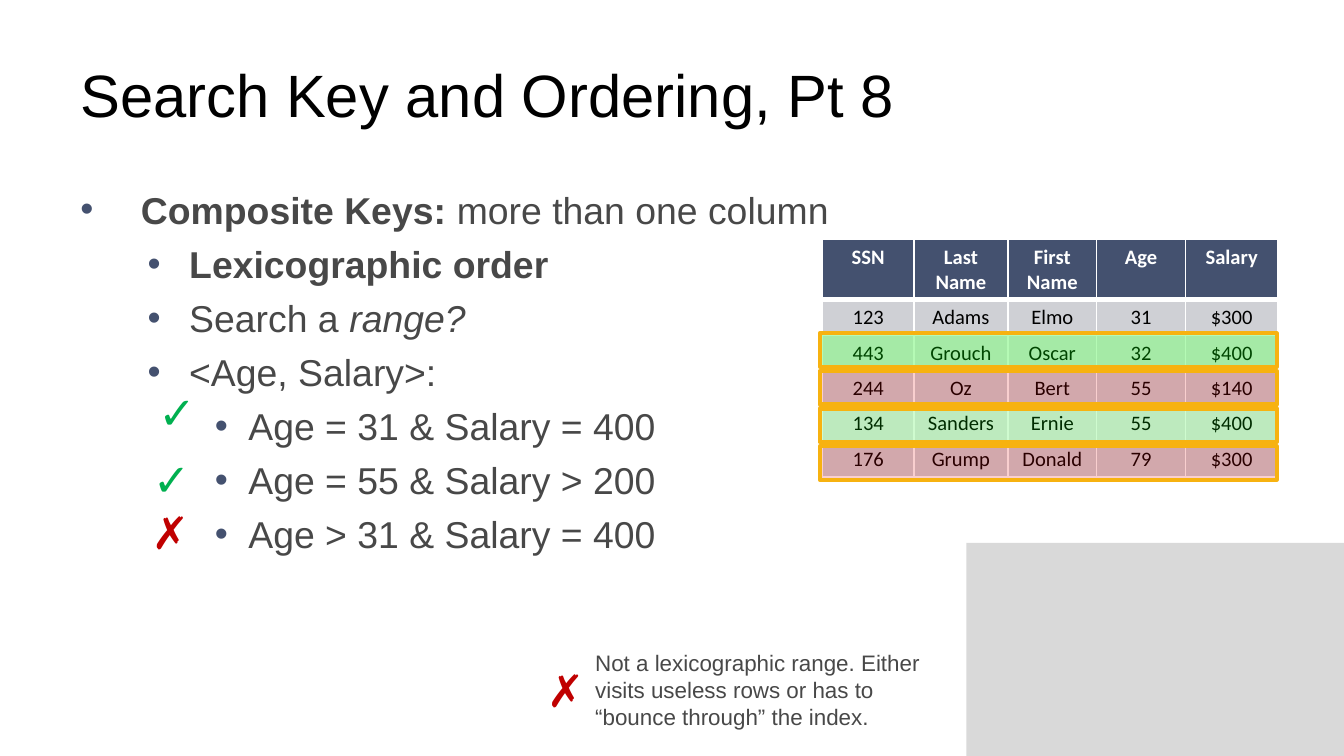
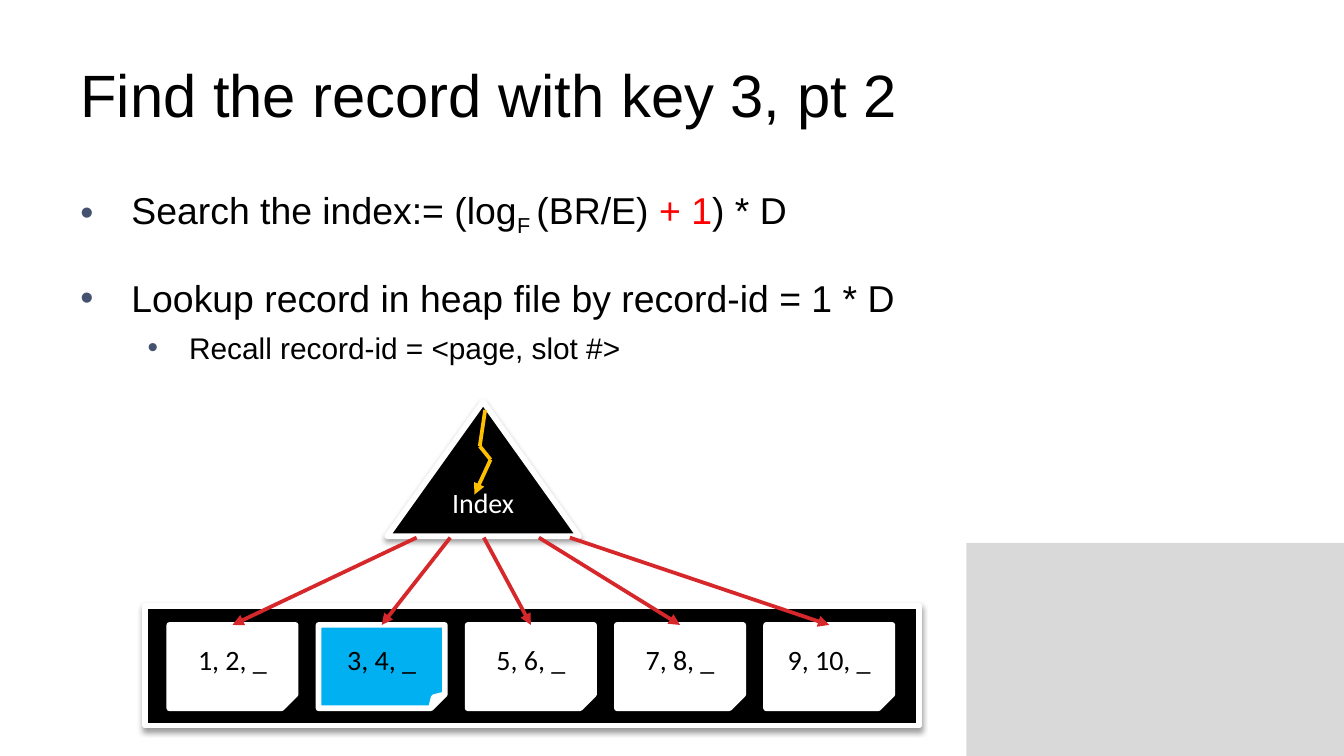
from dataclasses import dataclass
from itertools import pairwise

from lxml import etree
from pptx import Presentation
from pptx.dml.color import RGBColor
from pptx.enum.shapes import MSO_CONNECTOR, MSO_SHAPE
from pptx.enum.text import MSO_ANCHOR, PP_ALIGN
from pptx.oxml.ns import qn
from pptx.util import Inches, Pt

RECTANGLE = MSO_SHAPE.RECTANGLE
TRIANGLE = MSO_SHAPE.ISOSCELES_TRIANGLE
PAGE = MSO_SHAPE.FOLDED_CORNER
STRAIGHT = MSO_CONNECTOR.STRAIGHT
CENTER = PP_ALIGN.CENTER
TOP, MIDDLE = MSO_ANCHOR.TOP, MSO_ANCHOR.MIDDLE
COLUMNS, ROWS = 100, 56.25
TOP_SIDE = 0


@dataclass(frozen=True)
class Theme:
    """Colours, fonts and type sizes of the deck."""

    black: str = "000000"
    white: str = "FFFFFF"
    gray: str = "484848"
    panel: str = "D9D9D9"
    navy: str = "44516F"
    bands: tuple = ("E9E9EB", "CFD0D5")
    match: str = "00EF00"
    miss: str = "E20000"
    outline: str = "F7B210"
    yes: str = "00B050"
    no: str = "C00000"
    accent: str = "FF0000"
    found: str = "00B0F0"
    pointer: str = "D6272A"
    bolt: str = "FFC000"
    sans: str = "Arial"
    label: str = "Calibri"
    title_size: int = 32
    mark_size: int = 24
    body_size: int = 20
    sub_size: int = 16
    label_size: int = 15
    note_size: int = 12
    cell_size: int = 11


THEME = Theme()
LEVELS = ((0.38, 0.38), (0.81, 0.31), (1.25, 0.25))


def add_xml(parent, tag, **attributes):
    """Append a drawing element and return it."""
    return etree.SubElement(parent, qn(f"a:{tag}"), attributes)


def write(frame, text, size=THEME.body_size, color=THEME.black, font=THEME.sans,
          bold=False, align=None, bullet=None, before=0):
    """Add a paragraph; text is a string or a list of (string, format) runs."""
    opening = frame.paragraphs[0]
    paragraph = frame.add_paragraph() if opening.runs else opening
    paragraph.space_before = Pt(before)
    if align is not None:
        paragraph.alignment = align
    if bullet is not None:
        margin, hanging = bullet
        properties = paragraph._p.get_or_add_pPr()
        properties.set("marL", str(Inches(margin)))
        properties.set("indent", str(-Inches(hanging)))
        add_xml(add_xml(properties, "buClr"), "srgbClr", val=THEME.navy)
        add_xml(properties, "buFont", typeface=THEME.sans)
        add_xml(properties, "buChar", char="•")
    for words, look in [(text, {})] if isinstance(text, str) else text:
        run = paragraph.add_run()
        run.text = words
        run.font.name = font
        run.font.size = Pt(size)
        run.font.bold = look.get("bold", bold)
        run.font.italic = look.get("italic", False)
        run.font.color.rgb = RGBColor.from_string(look.get("color", color))
        if "baseline" in look:
            run._r.get_or_add_rPr().set("baseline", str(look["baseline"]))


class Deck:
    """Holds the theme, the grid and the current slide."""

    def __init__(self, theme):
        """Start an empty presentation."""
        self.theme = theme
        self.show = Presentation()
        self.show.slide_width, self.show.slide_height = Inches(10), Inches(5.625)
        self.slide = None

    def grid(self, *lengths):
        """Turn alternating columns and rows into slide lengths."""
        units = (self.show.slide_width / COLUMNS, self.show.slide_height / ROWS)
        return [round(length * units[i % 2]) for i, length in enumerate(lengths)]

    def new_slide(self, title):
        """Open a slide with the corner panel and its title."""
        self.slide = self.show.slides.add_slide(self.show.slide_layouts[6])
        self.shape(RECTANGLE, (71.9, 40.4, 28.1, 15.85), self.theme.panel)
        self.text((5, 2.3, 90, 9.4), title, anchor=MIDDLE, size=self.theme.title_size)

    def frame(self, box, anchor=TOP):
        """Add an empty wrapping text box."""
        frame = self.slide.shapes.add_textbox(*self.grid(*box)).text_frame
        frame.word_wrap = True
        frame.vertical_anchor = anchor
        return frame

    def text(self, box, words, anchor=TOP, **look):
        """Add a text box with one paragraph."""
        write(self.frame(box, anchor), words, **look)

    def bullets(self, items, color):
        """Fill the body with (level, text, format) items."""
        frame = self.frame((5, 13.4, 90, 36.8))
        for level, words, look in items:
            write(frame, words, **{"color": color, "bullet": LEVELS[level], "before": 5} | look)

    def mark(self, left, top, good):
        """Add a check or a cross."""
        self.text((left, top, 6, 5), "✓" if good else "✗", font=self.theme.label,
                  size=self.theme.mark_size, color=self.theme.yes if good else self.theme.no)

    def shape(self, kind, box, fill, line=None, width=3, alpha=None, shadow=False,
              label=None, color=THEME.black):
        """Add a filled preset shape, with a centred label if given."""
        shape = self.slide.shapes.add_shape(kind, *self.grid(*box))
        shape.shadow.inherit = False
        shape.fill.solid()
        shape.fill.fore_color.rgb = RGBColor.from_string(fill)
        if line:
            shape.line.color.rgb = RGBColor.from_string(line)
            shape.line.width = Pt(width)
        else:
            shape.line.fill.background()
        properties = shape._element.spPr
        if alpha:
            tint = properties.find(qn("a:solidFill")).find(qn("a:srgbClr"))
            add_xml(tint, "alpha", val=str(alpha * 1000))
        if shadow:
            outer = add_xml(properties.find(qn("a:effectLst")), "outerShdw", blurRad=str(Pt(3.1)),
                            dist=str(Pt(1.6)), dir="5400000", rotWithShape="0")
            shade = add_xml(outer, "srgbClr", val=self.theme.black)
            add_xml(shade, "alpha", val="38000")
        if label:
            shape.text_frame.word_wrap = True
            shape.text_frame.vertical_anchor = MIDDLE
            write(shape.text_frame, label, size=self.theme.label_size, color=color,
                  font=self.theme.label, align=CENTER)
        return shape

    def connect(self, start, end, color, arrow=True, target=None):
        """Draw a line, joined to the top of the target if given."""
        link = self.slide.shapes.add_connector(STRAIGHT, *self.grid(*start, *end))
        if target is not None:
            link.end_connect(target, TOP_SIDE)
        link.line.color.rgb = RGBColor.from_string(color)
        link.line.width = Pt(2)
        if arrow:
            add_xml(link.line._get_or_add_ln(), "tailEnd", type="triangle")
        add_xml(link._element.spPr, "effectLst")

    def table(self, box, records, widths, heights):
        """Add a banded table whose first record is the header."""
        table = self.slide.shapes.add_table(len(records), len(widths), *self.grid(*box)).table
        table.horz_banding = False
        for column, width in zip(table.columns, widths):
            column.width = self.grid(width)[0]
        for row, height in zip(table.rows, heights):
            row.height = self.grid(0, height)[1]
        for r, record in enumerate(records):
            header = r == 0
            thickness = {"L": 1, "R": 1, "T": 3 if r == 1 else 1, "B": 3 if header else 1}
            for c, value in enumerate(record):
                cell = table.cell(r, c)
                cell.margin_left = cell.margin_right = Inches(0.07)
                cell.margin_top = cell.margin_bottom = Inches(0.04)
                for side, points in thickness.items():
                    border = add_xml(cell._tc.get_or_add_tcPr(), f"ln{side}", w=str(Pt(points)))
                    add_xml(add_xml(border, "solidFill"), "srgbClr", val=self.theme.white)
                cell.fill.solid()
                cell.fill.fore_color.rgb = RGBColor.from_string(
                    self.theme.navy if header else self.theme.bands[r % 2])
                write(cell.text_frame, value, size=self.theme.cell_size, font=self.theme.label,
                      color=self.theme.white if header else self.theme.black,
                      bold=header, align=CENTER)


def composite_keys(deck):
    """Build the slide on lexicographic ranges."""
    theme = deck.theme
    deck.new_slide("Search Key and Ordering, Pt 8")
    people = (
        ("SSN", "Last Name", "First Name", "Age", "Salary"),
        ("123", "Adams", "Elmo", "31", "$300"),
        ("443", "Grouch", "Oscar", "32", "$400"),
        ("244", "Oz", "Bert", "55", "$140"),
        ("134", "Sanders", "Ernie", "55", "$400"),
        ("176", "Grump", "Donald", "79", "$300"),
    )
    deck.table((61.2, 17.8, 33.9, 17.6), people, (6.8, 7, 6.6, 6.6, 6.9), [4.5] + [2.62] * 5)
    deck.bullets((
        (0, [("Composite Keys: ", {"bold": True}), ("more than one column", {})],
         {"before": 0, "bullet": (0.45, 0.45)}),
        (1, "Lexicographic order", {"bold": True}),
        (1, [("Search a ", {}), ("range?", {"italic": True})], {}),
        (1, "<Age, Salary>:", {}),
        (2, "Age = 31 & Salary = 400", {}),
        (2, "Age = 55 & Salary > 200", {}),
        (2, "Age > 31 & Salary = 400", {}),
    ), theme.gray)
    for left, top, good in ((10.8, 28.1, True), (10.4, 33.1, True),
                            (10.3, 37.1, False), (39.7, 48.8, False)):
        deck.mark(left, top, good)
    deck.text((43.3, 47.8, 28.9, 7.1),
              "Not a lexicographic range. Either visits useless rows or has to "
              "“bounce through” the index.", size=theme.note_size, color=theme.gray)
    verdicts = ((theme.match, 29), (theme.miss, 19), (theme.match, 19), (theme.miss, 19))
    for i, (tint, alpha) in enumerate(verdicts):
        deck.shape(RECTANGLE, (61, 24.8 + 2.8 * i, 34, 2.5), tint, theme.outline, 2.25, alpha)


def record_lookup(deck):
    """Build the slide on finding a record through the index."""
    theme = deck.theme
    deck.new_slide("Find the record with key 3, pt 2")
    deck.bullets((
        (0, [("Search the index:= (log", {}), ("F ", {"baseline": -25000}), ("(BR/E) ", {}),
             ("+ 1", {"color": theme.accent}), (") * D", {})], {"before": 0}),
        (0, "Lookup record in heap file by record-id = 1 * D", {"before": 20}),
        (1, "Recall record-id = <page, slot #>", {"size": theme.sub_size}),
    ), theme.black)
    deck.shape(TRIANGLE, (28.8, 29.9, 14.3, 10), theme.black, theme.white, shadow=True,
               label="Index", color=theme.white)
    deck.shape(RECTANGLE, (10.8, 45.1, 57.6, 8.9), theme.black, theme.white, shadow=True)
    keys = ("1, 2, _", "3, 4, _", "5, 6, _", "7, 8, _", "9, 10, _")
    exits = (31, 33.5, 36, 40.1, 42.4)
    for i, (entry, leave) in enumerate(zip(keys, exits)):
        left = 12.6 + 11.1 * i
        page = deck.shape(PAGE, (left, 46.5, 9.4, 6.2), theme.found if i == 1 else theme.white,
                          theme.white, shadow=True, label=entry)
        deck.connect((leave, 40), (left + 4.7, 46.5), theme.pointer, target=page)
    descent = ((36.1, 30.5), (35.7, 33.2), (36.5, 34.2), (35.3, 36.8))
    for start, end in pairwise(descent):
        deck.connect(start, end, theme.bolt, arrow=end == descent[-1])


def main():
    """Build both slides and save the deck."""
    deck = Deck(THEME)
    composite_keys(deck)
    record_lookup(deck)
    deck.show.save("out.pptx")


if __name__ == "__main__":
    main()
